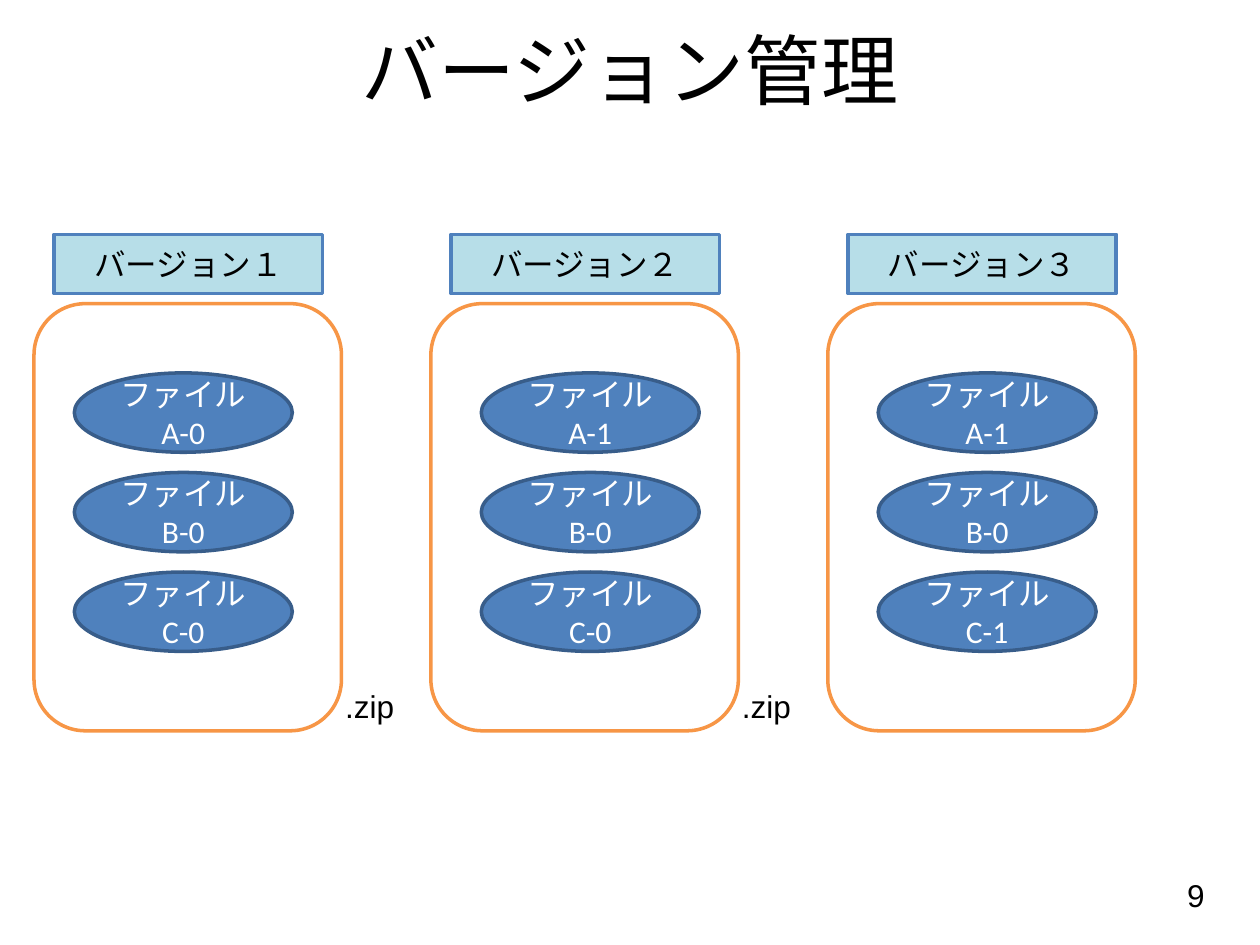
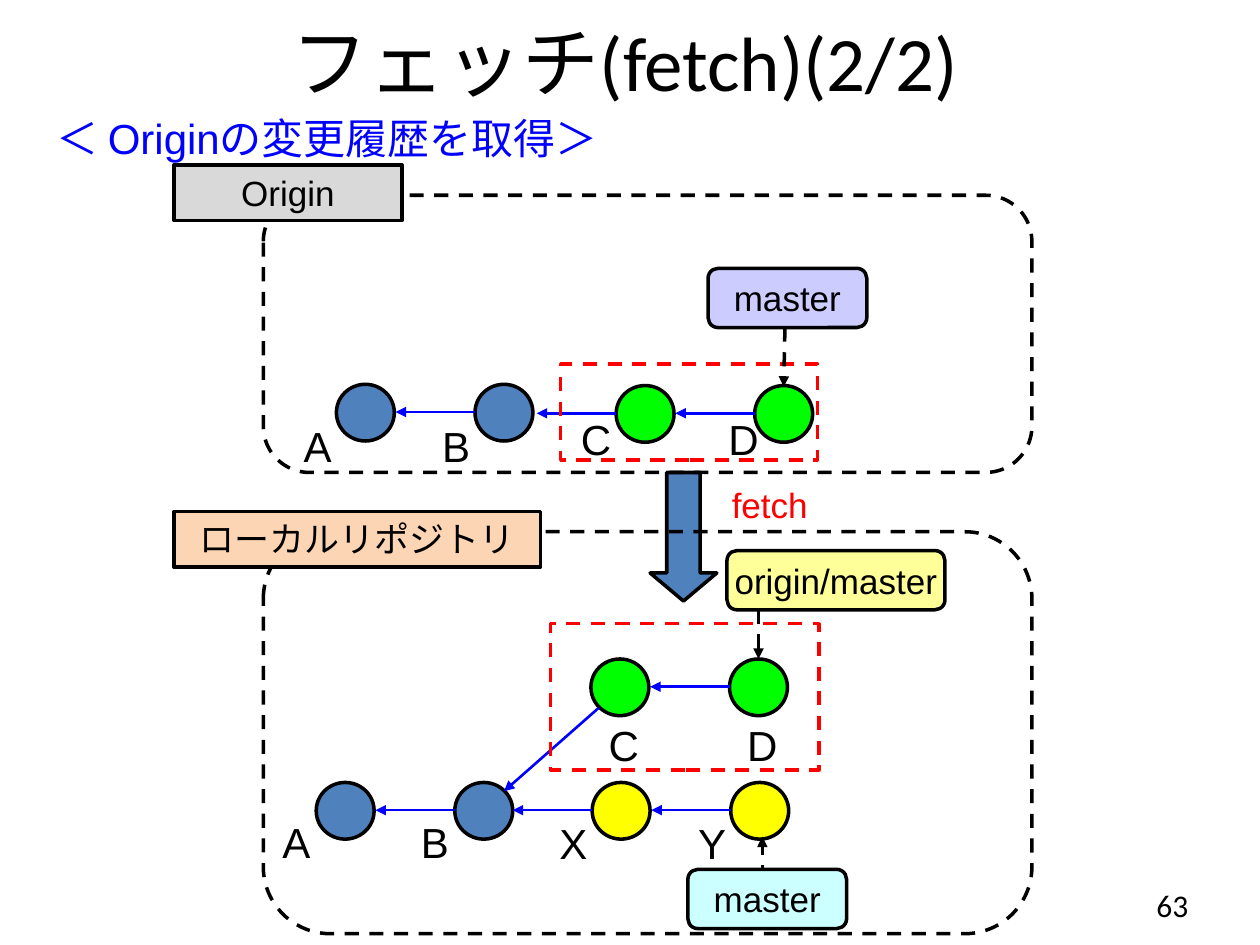
from dataclasses import dataclass
from typing import Optional

from lxml.etree import SubElement
from pptx import Presentation
from pptx.dml.color import RGBColor
from pptx.enum.dml import MSO_LINE
from pptx.enum.shapes import MSO_CONNECTOR, MSO_SHAPE
from pptx.enum.text import MSO_ANCHOR, MSO_AUTO_SIZE, PP_ALIGN
from pptx.oxml.ns import qn
from pptx.util import Emu, Inches, Pt

# The slide is a grid of 100 columns by 75 rows; all lengths count grid cells.
COLUMNS, ROWS = 100, 75
SLIDE_WIDTH, SLIDE_HEIGHT = Inches(10), Inches(7.5)

BLACK, WHITE, RED, LINK_BLUE = "000000", "FFFFFF", "FF0000", "0000FF"
BLUE, DARK_BLUE, PALE_BLUE, ORANGE = "4F81BD", "385D8A", "B7DEE8", "F79646"
GREEN, YELLOW = "00FF00", "FFFF00"
HEADING_FONT, BODY_FONT = "Calibri", "Arial"
TITLE_ONLY = 5


@dataclass(frozen=True)
class Box:
    left: float
    top: float
    width: float
    height: float


@dataclass(frozen=True)
class Look:
    fill: Optional[str] = None
    line: Optional[str] = None
    dashed: bool = False


@dataclass(frozen=True)
class Run:
    text: str
    size: int = 18
    font: str = BODY_FONT
    color: str = BLACK


@dataclass(frozen=True)
class TextLayout:
    align: PP_ALIGN = PP_ALIGN.CENTER
    anchor: MSO_ANCHOR = MSO_ANCHOR.MIDDLE
    inset_x: float = 1
    inset_y: float = 0.5
    wrap: bool = True


@dataclass(frozen=True)
class Version:
    name: str
    files: tuple[str, ...]
    file_left: float
    archived: bool


@dataclass(frozen=True)
class CommitRow:
    names: str
    left: float
    top: float
    fill: str
    label_left: float
    label_top: float
    label_pitch: float = 11
    first_has_link: bool = False


@dataclass(frozen=True)
class Branch:
    name: str
    box: Box
    fill: str
    arrow_start: tuple[float, float]
    arrow_end: tuple[float, float]


@dataclass(frozen=True)
class Repository:
    name: str
    frame: Box
    label: Box
    label_fill: str


CENTERED = TextLayout()
UNWRAPPED = TextLayout(wrap=False)
TAG = TextLayout(anchor=MSO_ANCHOR.TOP, inset_x=0.2)
NOTE = TextLayout(PP_ALIGN.LEFT, MSO_ANCHOR.TOP)
NOTE_UNWRAPPED = TextLayout(PP_ALIGN.LEFT, MSO_ANCHOR.TOP, wrap=False)
LETTER = TextLayout(PP_ALIGN.LEFT, MSO_ANCHOR.TOP, 0, 0)


# Shared helpers
def across(columns: float) -> Emu:
    return Emu(round(SLIDE_WIDTH * columns / COLUMNS))


def down(rows: float) -> Emu:
    return Emu(round(SLIDE_HEIGHT * rows / ROWS))


def place(box: Box) -> tuple[Emu, Emu, Emu, Emu]:
    return across(box.left), down(box.top), across(box.width), down(box.height)


def rgb(value: str) -> RGBColor:
    return RGBColor.from_string(value)


def write(shape, runs: tuple[Run, ...], layout: TextLayout) -> None:
    frame = shape.text_frame
    frame.auto_size = MSO_AUTO_SIZE.NONE
    frame.word_wrap = layout.wrap
    frame.vertical_anchor = layout.anchor
    frame.margin_left = frame.margin_right = across(layout.inset_x)
    frame.margin_top = frame.margin_bottom = down(layout.inset_y)
    paragraph = frame.paragraphs[0]
    paragraph.alignment = layout.align
    for item in runs:
        run = paragraph.add_run()
        run.text = item.text
        run.font.size = Pt(item.size)
        run.font.name = item.font
        run.font.color.rgb = rgb(item.color)


def draw_text(slide, box: Box, layout: TextLayout, *runs: Run):
    shape = slide.shapes.add_textbox(*place(box))
    write(shape, runs, layout)
    return shape


def style_line(line, color: str, width: float, dashed: bool) -> None:
    line.color.rgb = rgb(color)
    line.width = Pt(width)
    if dashed:
        line.dash_style = MSO_LINE.DASH


def draw_shape(slide, kind: MSO_SHAPE, box: Box, look: Look,
               run: Optional[Run] = None, layout: TextLayout = CENTERED):
    shape = slide.shapes.add_shape(kind, *place(box))
    shape.shadow.inherit = False
    if look.fill:
        shape.fill.solid()
        shape.fill.fore_color.rgb = rgb(look.fill)
    else:
        shape.fill.background()
    if look.line:
        style_line(shape.line, look.line, 2, look.dashed)
    else:
        shape.line.fill.background()
    if run:
        write(shape, (run,), layout)
    return shape


def draw_arrow(slide, start: tuple[float, float], end: tuple[float, float],
               color: str = LINK_BLUE, width: float = 1.5, dashed: bool = False) -> None:
    connector = slide.shapes.add_connector(
        MSO_CONNECTOR.STRAIGHT, across(start[0]), down(start[1]), across(end[0]), down(end[1]))
    style_line(connector.line, color, width, dashed)
    properties = connector._element.spPr
    SubElement(properties.find(qn("a:ln")), qn("a:tailEnd"), type="triangle")
    SubElement(properties, qn("a:effectLst"))


def add_titled_slide(presentation, title: str, box: Box):
    slide = presentation.slides.add_slide(presentation.slide_layouts[TITLE_ONLY])
    heading = slide.shapes.title
    heading.left, heading.top, heading.width, heading.height = place(box)
    write(heading, (Run(title, 44, HEADING_FONT),), CENTERED)
    return slide


# Slide 1: versions kept as separate archives
VERSION_PITCH, FILE_PITCH = 31.5, 7.9
VERSIONS = (
    Version("バージョン１", ("A-0", "B-0", "C-0"), 5.9, True),
    Version("バージョン２", ("A-1", "B-0", "C-0"), 38.2, True),
    Version("バージョン３", ("A-1", "B-0", "C-1"), 69.7, False),
)


def draw_version(slide, version: Version, shift: float) -> None:
    draw_shape(slide, MSO_SHAPE.FLOWCHART_ALTERNATE_PROCESS,
               Box(2.7 + shift, 24.1, 24.4, 33.9), Look(WHITE, ORANGE))
    for row, name in enumerate(version.files):
        draw_shape(slide, MSO_SHAPE.OVAL,
                   Box(version.file_left, 29.6 + row * FILE_PITCH, 17.3, 6.3),
                   Look(BLUE, DARK_BLUE), Run(f"ファイル{name}", 18, HEADING_FONT, WHITE))
    draw_shape(slide, MSO_SHAPE.RECTANGLE, Box(4.3 + shift, 18.6, 21.3, 4.7),
               Look(PALE_BLUE, BLUE), Run(version.name, 18, HEADING_FONT))
    if version.archived:
        draw_text(slide, Box(26.4 + shift, 54, 5.9, 4), NOTE_UNWRAPPED, Run(".zip"))


def build_versions_slide(presentation) -> None:
    slide = add_titled_slide(presentation, "バージョン管理", Box(5, -0.8, 90, 12.5))
    draw_text(slide, Box(73.3, 69, 23.3, 5.2),
              TextLayout(PP_ALIGN.RIGHT, MSO_ANCHOR.TOP), Run("9"))
    for index, version in enumerate(VERSIONS):
        draw_version(slide, version, index * VERSION_PITCH)


# Slide 2: fetching commits from origin
COMMIT_PITCH, COMMIT_WIDTH, COMMIT_HEIGHT, LINK_LENGTH = 11, 4.6, 4.5, 6.3
COMMIT_ROWS = (
    CommitRow("AB", 26.7, 30.5, BLUE, 24.1, 33.4),
    CommitRow("CD", 48.9, 30.6, GREEN, 46.1, 32.8, 11.7, True),
    CommitRow("CD", 46.9, 52.3, GREEN, 48.3, 57.1),
    CommitRow("AB", 25.1, 62.1, BLUE, 22.4, 64.8),
    CommitRow("XY", 47, 62.1, YELLOW, 44.4, 64.9, first_has_link=True),
)
BRANCHES = (
    Branch("master", Box(56.2, 21.3, 12.6, 4.7), "CCCCFF", (62.3, 26), (62.2, 30.7)),
    Branch("origin/master", Box(57.7, 43.7, 17.3, 4.7), "FFFF99", (60.2, 48.4), (60.2, 52.3)),
    Branch("master", Box(54.6, 69, 12.6, 4.7), "CCFFFF", (60.5, 69.8), (60.5, 66.4)),
)
REPOSITORIES = (
    Repository("Origin", Box(20.9, 15.5, 61, 22), Box(13.8, 13.1, 18.1, 4.4), "D9D9D9"),
    Repository("ローカルリポジトリ", Box(20.9, 42.2, 61, 31.9), Box(13.8, 40.6, 29.1, 4.4), "FCD5B5"),
)
FETCHED_AREAS = (Box(44.5, 28.9, 20.4, 7.6), Box(43.7, 49.5, 21.3, 11.6))


def draw_commit_row(slide, row: CommitRow) -> None:
    for index, name in enumerate(row.names):
        left = row.left + index * COMMIT_PITCH
        draw_shape(slide, MSO_SHAPE.OVAL, Box(left, row.top, COMMIT_WIDTH, COMMIT_HEIGHT),
                   Look(row.fill, BLACK))
        if index or row.first_has_link:
            level = row.top + 2.2
            draw_arrow(slide, (left, level), (left - LINK_LENGTH, level))
        draw_text(slide, Box(row.label_left + index * row.label_pitch, row.label_top, 3.2, 4),
                  LETTER, Run(name, 24))


def draw_branch(slide, branch: Branch) -> None:
    draw_arrow(slide, branch.arrow_start, branch.arrow_end, BLACK, 2, True)
    draw_shape(slide, MSO_SHAPE.ROUNDED_RECTANGLE, branch.box, Look(branch.fill, BLACK),
               Run(branch.name, 20), UNWRAPPED)


def draw_repository(slide, repository: Repository) -> None:
    draw_shape(slide, MSO_SHAPE.ROUNDED_RECTANGLE, repository.frame, Look(line=BLACK, dashed=True))
    draw_shape(slide, MSO_SHAPE.RECTANGLE, repository.label, Look(repository.label_fill, BLACK),
               Run(repository.name, 20), TAG)


def build_fetch_slide(presentation) -> None:
    slide = add_titled_slide(presentation, "フェッチ(fetch)(2/2)", Box(3.9, 0, 91.4, 9.7))
    draw_text(slide, Box(72, 69.8, 23.3, 4), TextLayout(PP_ALIGN.RIGHT),
              Run("63", 18, HEADING_FONT))
    draw_text(slide, Box(3.5, 8.4, 61.4, 5), NOTE,
              Run("＜ ", 24, HEADING_FONT, LINK_BLUE),
              Run("Originの変更履歴を取得", 24, BODY_FONT, LINK_BLUE),
              Run("＞", 24, HEADING_FONT, LINK_BLUE))

    # Fetch arrow beneath the repository frames
    draw_shape(slide, MSO_SHAPE.RECTANGLE, Box(57.1, 37.9, 8, 4.4), Look(WHITE),
               Run("fetch", 20, BODY_FONT, RED), NOTE_UNWRAPPED)
    fetch_arrow = draw_shape(slide, MSO_SHAPE.DOWN_ARROW, Box(51.6, 37.5, 5.3, 10.2),
                             Look(BLUE, BLACK))
    fetch_arrow.adjustments[1] = 0.42
    for repository in REPOSITORIES:
        draw_repository(slide, repository)

    # Histories, fetched commits and branch pointers
    for row in COMMIT_ROWS:
        draw_commit_row(slide, row)
    draw_arrow(slide, (47.5, 56.2), (40, 62.8))
    for area in FETCHED_AREAS:
        draw_shape(slide, MSO_SHAPE.RECTANGLE, area, Look(line=RED, dashed=True))
    for branch in BRANCHES:
        draw_branch(slide, branch)


def main() -> None:
    presentation = Presentation()
    presentation.slide_width, presentation.slide_height = SLIDE_WIDTH, SLIDE_HEIGHT
    build_versions_slide(presentation)
    build_fetch_slide(presentation)
    presentation.save("out.pptx")


if __name__ == "__main__":
    main()
